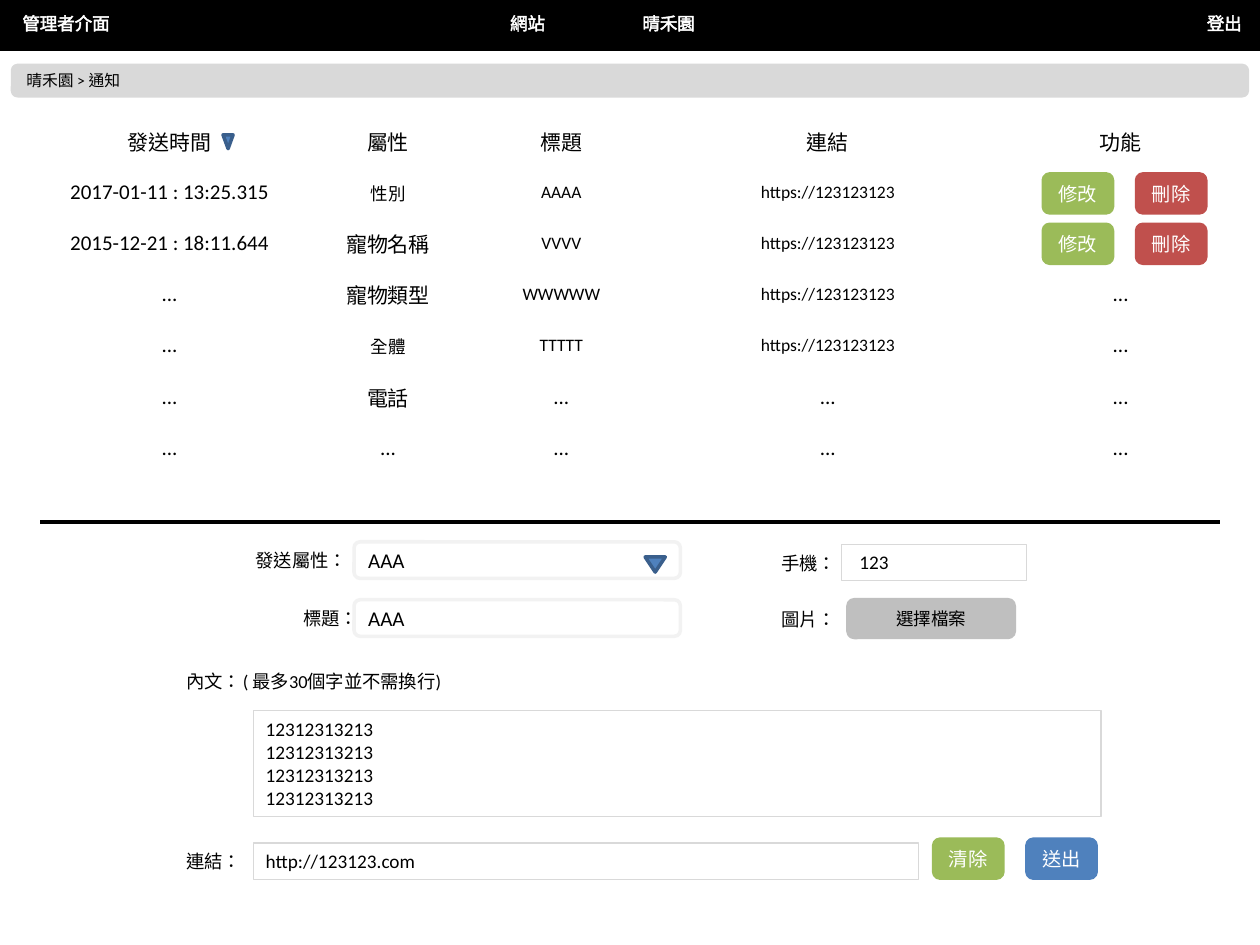
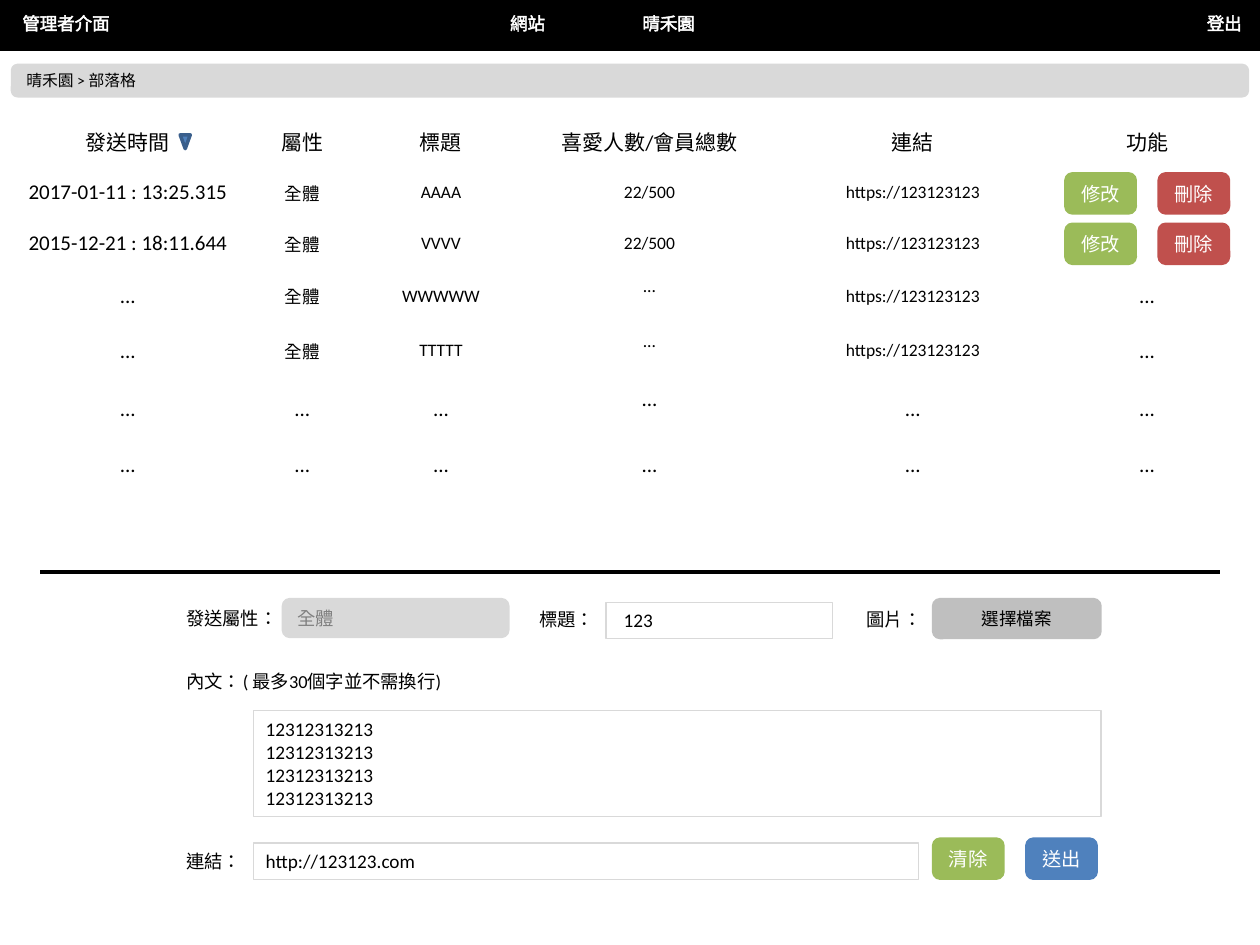
from lxml import etree
from pptx import Presentation
from pptx.dml.color import RGBColor
from pptx.enum import lang, shapes, text
from pptx.oxml.ns import qn
from pptx.util import Inches, Pt

FONT = "Calibri"
COLORS = {
    "black": "000000", "white": "FFFFFF", "bar": "D9D9D9", "pale": "F2F2F2",
    "file": "BFBFBF", "muted": "808080", "green": "9BBB59", "red": "C0504D",
    "blue": "4F81BD", "dark_blue": "3A5F8C",
}
RECT = shapes.MSO_SHAPE.RECTANGLE
ROUNDED = shapes.MSO_SHAPE.ROUNDED_RECTANGLE
TRIANGLE = shapes.MSO_SHAPE.ISOSCELES_TRIANGLE
LEFT, CENTER = text.PP_ALIGN.LEFT, text.PP_ALIGN.CENTER
TOP, MIDDLE = text.MSO_ANCHOR.TOP, text.MSO_ANCHOR.MIDDLE

PRODUCT = "晴禾園"
# Navigation: text, left, width
NAVIGATION = [("管理者介面", 0.08, 0.9), ("登出", 9.48, 0.48),
              ("網站", 3.95, 0.48), (PRODUCT, 5, 0.62)]
URL = "https://123123123"
DOTS = "..."
SMALL_TEXTS = {"性別", "全體", "AAAA", "VVVV", "WWWWW", "TTTTT", "22/500", URL}
ROW_COUNT = 7
ROW_HEIGHT = 2.84 / ROW_COUNT
BUTTON_WIDTH, BUTTON_HEIGHT, BUTTON_STEP = 0.55, 0.31, 0.74

# Form items: kind, text, left, top, width and, for a tall field, height
SHARED_FORM = [
    ("label", "內文：", 1.38, 5.27, 0.65),
    ("label", "( 最多30個字並不需換行)", 1.83, 5.27, 3.61),
    ("field", "\n".join(["12312313213"] * 4), 2.01, 5.64, 6.73, 0.84),
    ("label", "連結：", 1.38, 6.7, 0.65),
    ("field", "http://123123.com", 2.01, 6.69, 5.28),
]
SUBMIT_BUTTONS = [("清除", "green"), ("送出", "blue")]
ROW_BUTTONS = [("修改", "green"), ("刪除", "red")]

PAGES = [
    {
        "trail": f"{PRODUCT} > 通知",
        "table_left": 0.2,
        "columns": [2.29, 1.18, 1.57, 2.66, 1.99],
        "extra_heights": [0] * ROW_COUNT,
        "raised_dots": {},
        "rows": [
            ["發送時間", "屬性", "標題", "連結", "功能"],
            ["2017-01-11 : 13:25.315", "性別", "AAAA", URL, ""],
            ["2015-12-21 : 18:11.644", "寵物名稱", "VVVV", URL, ""],
            [DOTS, "寵物類型", "WWWWW", URL, DOTS],
            [DOTS, "全體", "TTTTT", URL, DOTS],
            [DOTS, "電話", DOTS, DOTS, DOTS],
            [DOTS] * 5,
        ],
        "sort_left": 1.77,
        "buttons_left": 8.28,
        "divider": 4.14,
        "form": [
            ("label", "發送屬性：", 1.93, 4.31, 0.95),
            ("rounded", "AAA", 2.81, 4.3, 2.59),
            ("arrow", "", 5.12, 4.42, 0.16),
            ("label", "標題：", 2.31, 4.77, 0.65),
            ("rounded", "AAA", 2.81, 4.76, 2.59),
            ("label", "手機：", 6.1, 4.33, 0.65),
            ("indented", "123", 6.68, 4.32, 1.47),
            ("label", "圖片：", 6.1, 4.78, 0.65),
            ("file", "選擇檔案", 6.73, 4.76, 1.32),
        ],
    },
    {
        "trail": f"{PRODUCT} > 部落格",
        "table_left": 0.1,
        "columns": [1.83, 0.94, 1.26, 2.05, 2.13, 1.59],
        "extra_heights": [0, 0, 0, 0.02, 0.04, 0.07, 0.02],
        "raised_dots": {(3, 3): 10, (4, 3): 10, (5, 3): 12},
        "rows": [
            ["發送時間", "屬性", "標題", "喜愛人數/會員總數", "連結", "功能"],
            ["2017-01-11 : 13:25.315", "全體", "AAAA", "22/500", URL, ""],
            ["2015-12-21 : 18:11.644", "全體", "VVVV", "22/500", URL, ""],
            [DOTS, "全體", "WWWWW", DOTS, URL, DOTS],
            [DOTS, "全體", "TTTTT", DOTS, URL, DOTS],
            [DOTS] * 6,
            [DOTS] * 6,
        ],
        "sort_left": 1.43,
        "buttons_left": 8.46,
        "divider": 4.54,
        "form": [
            ("label", "發送屬性：", 1.38, 4.77, 0.95),
            ("disabled", "全體", 2.25, 4.76, 1.78),
            ("label", "標題：", 4.18, 4.78, 0.65),
            ("indented", "123", 4.81, 4.78, 1.8),
            ("label", "圖片：", 6.78, 4.78, 0.65),
            ("file", "選擇檔案", 7.41, 4.76, 1.32),
        ],
    },
]


def color(name):
    return RGBColor.from_string(COLORS[name])


def write(text_frame, content, size, font_color="black", align=LEFT):
    text_frame.text = content
    for paragraph in text_frame.paragraphs:
        paragraph.alignment = align
        for run in paragraph.runs:
            run.font.name = FONT
            run.font.size = Pt(size)
            run.font.color.rgb = color(font_color)
            run.font.language_id = lang.MSO_LANGUAGE_ID.TRADITIONAL_CHINESE


def add_box(slide, kind, box, fill, line=None, line_width=2):
    shape = slide.shapes.add_shape(kind, *map(Inches, box))
    shape.shadow.inherit = False
    shape.fill.solid()
    shape.fill.fore_color.rgb = color(fill)
    shape.line.color.rgb = color(line or fill)
    shape.line.width = Pt(line_width)
    shape.text_frame.word_wrap = True
    shape.text_frame.vertical_anchor = MIDDLE
    return shape


def add_label(slide, content, box, size=10.5, font_color="black", wrap=True):
    label = slide.shapes.add_textbox(*map(Inches, box))
    label.text_frame.word_wrap = wrap
    label.text_frame.auto_size = text.MSO_AUTO_SIZE.SHAPE_TO_FIT_TEXT
    write(label.text_frame, content, size, font_color)
    return label


def outline_text(run, color_name, width):
    properties = run._r.get_or_add_rPr()
    line = etree.Element(qn("a:ln"), w=str(Pt(width)))
    fill = etree.SubElement(line, qn("a:solidFill"))
    etree.SubElement(fill, qn("a:srgbClr"), val=COLORS[color_name])
    properties.insert(0, line)


def add_arrow(slide, left, top, width, height):
    arrow = add_box(slide, TRIANGLE, (left, top, width, height), "blue", "dark_blue")
    arrow.rotation = 180


def add_field(slide, content, left, top, width, height=0.29, margin=0.1):
    field = add_box(slide, RECT, (left, top, width, height), "white", "bar", 0.75)
    field.text_frame.vertical_anchor = TOP
    field.text_frame.margin_left = Inches(margin)
    write(field.text_frame, content, 11)


def add_button_pair(slide, buttons, left, top):
    for index, (caption, fill) in enumerate(buttons):
        box = (left + index * BUTTON_STEP, top, BUTTON_WIDTH, BUTTON_HEIGHT)
        button = add_box(slide, ROUNDED, box, fill)
        write(button.text_frame, caption, 11, "white", CENTER)


def add_header(slide, trail):
    add_box(slide, RECT, (0, 0, 10, 0.39), "black")
    for caption, left, width in NAVIGATION:
        label = add_label(slide, caption, (left, 0.05, width, 0.27), 10, "white", False)
        outline_text(label.text_frame.paragraphs[0].runs[0], "white", 0.75)
    bar = add_box(slide, ROUNDED, (0.1, 0.52, 9.8, 0.24), "bar")
    write(bar.text_frame, trail, 9)


def add_records(slide, page):
    columns, rows = page["columns"], page["rows"]
    heights = [ROW_HEIGHT + extra for extra in page["extra_heights"]]
    frame = slide.shapes.add_table(
        len(rows), len(columns), Inches(page["table_left"]), Inches(0.92),
        Inches(sum(columns)), Inches(sum(heights)))
    table = frame.table
    table.first_row = table.horz_banding = False
    for column, width in zip(table.columns, columns):
        column.width = Inches(width)
    for row, height in zip(table.rows, heights):
        row.height = Inches(height)
    for row_index, row in enumerate(rows):
        for column_index, content in enumerate(row):
            cell = table.cell(row_index, column_index)
            cell.fill.background()
            cell.vertical_anchor = MIDDLE
            size = 10 if content in SMALL_TEXTS else 12
            raised_size = page["raised_dots"].get((row_index, column_index))
            if raised_size:
                size = raised_size
                cell.margin_bottom = Inches(0.2)
            write(cell.text_frame, content, size, align=CENTER)


def add_divider(slide, top):
    divider = slide.shapes.add_connector(
        shapes.MSO_CONNECTOR.STRAIGHT,
        Inches(0.32), Inches(top), Inches(9.68), Inches(top))
    divider.line.color.rgb = color("black")
    divider.line.width = Pt(2.25)
    etree.SubElement(divider._element.spPr, qn("a:effectLst"))


def add_form_item(slide, kind, content, left, top, width, height=0.29):
    box = (left, top, width, height)
    if kind == "label":
        add_label(slide, content, box)
    elif kind == "field":
        add_field(slide, content, *box)
    elif kind == "indented":
        add_field(slide, content, *box, margin=0.14)
    elif kind == "arrow":
        add_arrow(slide, left, top, width, 0.12)
    elif kind == "rounded":
        shape = add_box(slide, ROUNDED, box, "white", "pale")
        write(shape.text_frame, content, 12)
    elif kind == "disabled":
        shape = add_box(slide, ROUNDED, box, "bar")
        write(shape.text_frame, content, 10.5, "muted")
    elif kind == "file":
        shape = add_box(slide, ROUNDED, (left, top, width, 0.3), "file")
        write(shape.text_frame, content, 10, align=CENTER)


def add_page(presentation, page):
    slide = presentation.slides.add_slide(presentation.slide_layouts[6])
    add_header(slide, page["trail"])
    add_records(slide, page)
    add_arrow(slide, page["sort_left"], 1.07, 0.08, 0.11)
    for top in (1.38, 1.78):
        add_button_pair(slide, ROW_BUTTONS, page["buttons_left"], top)
    add_divider(slide, page["divider"])
    for item in page["form"] + SHARED_FORM:
        add_form_item(slide, *item)
    add_button_pair(slide, SUBMIT_BUTTONS, 7.41, 6.66)


def main():
    presentation = Presentation()
    presentation.slide_width = Inches(10)
    presentation.slide_height = Inches(7.5)
    for page in PAGES:
        add_page(presentation, page)
    presentation.save("out.pptx")


if __name__ == "__main__":
    main()
